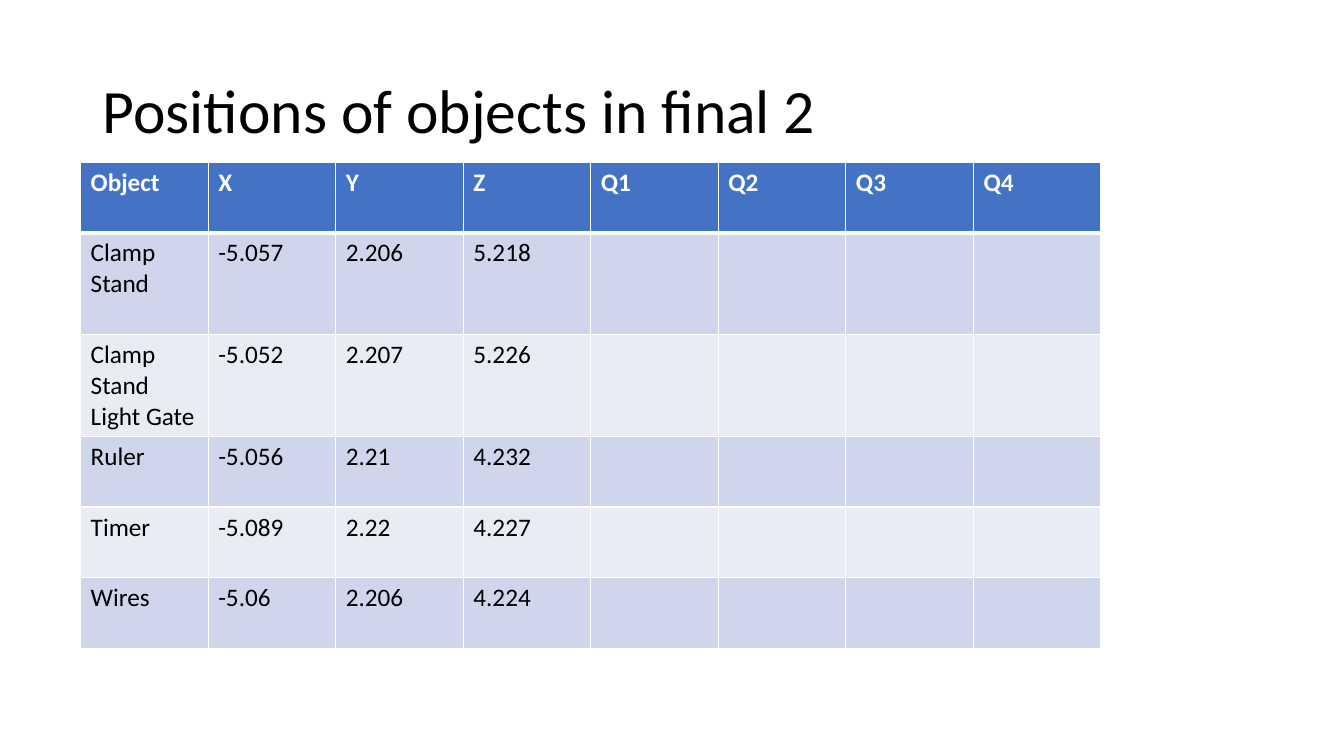
from pptx import Presentation, util as u
from pptx.dml.color import RGBColor
from pptx.enum import text
from pptx.oxml import parse_xml
from pptx.oxml.ns import nsdecls

FONT = "Calibri"
HEADINGS = ["Object", "X", "Y", "Z", "Q1", "Q2", "Q3", "Q4"]
POSITIONS = [
    ["Clamp Stand", "-5.057", "2.206", "5.218"],
    ["Clamp Stand\nLight Gate", "-5.052", "2.207", "5.226"],
    ["Ruler", "-5.056", "2.21", "4.232"],
    ["Timer", "-5.089", "2.22", "4.227"],
    ["Wires", "-5.06", "2.206", "4.224"],
]
ROW_HEIGHTS = [0.7, 1.01, 1.01, 0.7, 0.7, 0.7]


def color(value):
    return RGBColor.from_string(value)


def style_font(font, size, value, bold=False):
    font.name = FONT
    font.size = u.Pt(size)
    font.bold = bold
    font.color.rgb = color(value)


def add_title(page, left, top, width, height, words):
    box = page.shapes.add_textbox(*map(u.Inches, (left, top, width, height)))
    frame = box.text_frame
    frame.word_wrap = True
    frame.vertical_anchor = text.MSO_ANCHOR.MIDDLE
    para = frame.paragraphs[0]
    para.text = words
    para.line_spacing = 0.9
    style_font(para.font, 44, "000000")


def set_borders(cell, widths):
    properties = cell._tc.get_or_add_tcPr()
    for index, (side, points) in enumerate(widths.items()):
        properties.insert(index, parse_xml(
            f'<a:ln{side} {nsdecls("a")} w="{u.Pt(points)}"><a:solidFill>'
            f'<a:srgbClr val="FFFFFF"/></a:solidFill></a:ln{side}>'))


def fill_cell(cell, words, row):
    header = row == 0
    cell.text = words
    for para in cell.text_frame.paragraphs:
        style_font(para.font, 18, "FFFFFF" if header else "000000", header)
    cell.fill.solid()
    band = "CFD5EA" if row % 2 else "E9EBF5"
    cell.fill.fore_color.rgb = color("4472C4" if header else band)
    set_borders(cell, {"L": 1, "R": 1, "T": 3 if row == 1 else 1,
                       "B": 3 if header else 1})


def add_positions(page, left, top, width):
    rows = [HEADINGS] + POSITIONS
    columns = len(HEADINGS)
    frame = page.shapes.add_table(
        len(rows), columns, u.Inches(left), u.Inches(top),
        u.Inches(width), u.Inches(sum(ROW_HEIGHTS)))
    table = frame.table
    for column in table.columns:
        column.width = u.Inches(width / columns)
    for row, values in enumerate(rows):
        table.rows[row].height = u.Inches(ROW_HEIGHTS[row])
        padded = values + [""] * (columns - len(values))
        for column, words in enumerate(padded):
            fill_cell(table.cell(row, column), words, row)


def main():
    deck = Presentation()
    deck.slide_width = u.Inches(13.33)
    deck.slide_height = u.Inches(7.5)
    page = deck.slides.add_slide(deck.slide_layouts[6])
    add_title(page, 0.92, 0.4, 11.5, 1.45, "Positions of objects in final 2")
    add_positions(page, 0.8, 1.61, 10.12)
    deck.save("out.pptx")


if __name__ == "__main__":
    main()
